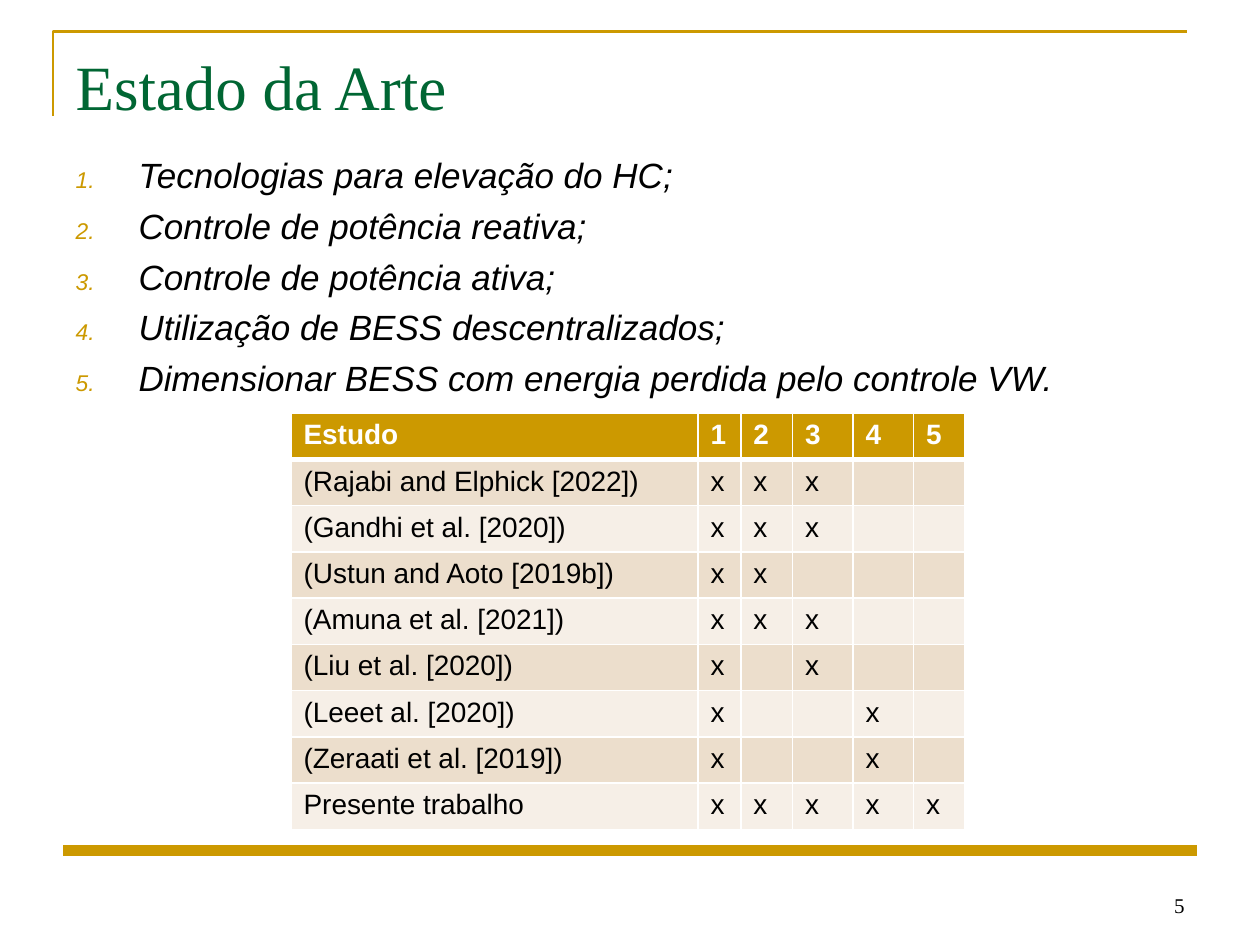
from dataclasses import dataclass

from lxml import etree
from pptx import Presentation
from pptx import util as u
from pptx.dml.color import RGBColor
from pptx.enum import shapes, text
from pptx.oxml import ns


@dataclass(frozen=True)
class Theme:
    gold: str = "CC9900"
    green: str = "006633"
    black: str = "000000"
    white: str = "FFFFFF"
    bands: tuple = ("ECDECC", "F6EFE7")
    serif: str = "Times New Roman"
    sans: str = "Arial"
    title: int = 36
    body: int = 20
    cell: int = 16
    page: int = 12


THEME = Theme()
TOPICS = [
    "Tecnologias para elevação do HC;",
    "Controle de potência reativa;",
    "Controle de potência ativa;",
    "Utilização de BESS descentralizados;",
    "Dimensionar BESS com energia perdida pelo controle VW.",
]
# Each study with the topics it covers
STUDIES = [
    ("(Rajabi and Elphick [2022])", {1, 2, 3}),
    ("(Gandhi et al. [2020])", {1, 2, 3}),
    ("(Ustun and Aoto [2019b])", {1, 2}),
    ("(Amuna et al. [2021])", {1, 2, 3}),
    ("(Liu et al. [2020])", {1, 3}),
    ("(Leeet al. [2020])", {1, 4}),
    ("(Zeraati et al. [2019])", {1, 4}),
    ("Presente trabalho", {1, 2, 3, 4, 5}),
]
WIDTHS = [3.23, 0.34, 0.41, 0.48, 0.48, 0.41]
ROW = 0.31


def rgb(code):
    return RGBColor.from_string(code)


def sub(node, tag, **attrs):
    return etree.SubElement(node, ns.qn(tag), **attrs)


def style(para, face, size, color, bold=False, italic=False):
    font = para.font
    font.name, font.size = face, u.Pt(size)
    font.bold, font.italic = bold, italic
    font.color.rgb = rgb(color)


def place(shape, box):
    shape.left, shape.top, shape.width, shape.height = map(u.Inches, box)


def stroke(shape, width):
    shape.line.color.rgb = rgb(THEME.gold)
    shape.line.width = u.Pt(width)


def add_frame(slide, box, foot):
    # Corner bracket above the title
    x, y, w, h = map(u.Inches, box)
    pen = slide.shapes.build_freeform(x, y + h)
    pen.add_line_segments([(x, y), (x + w, y)], close=False)
    edge = pen.convert_to_shape()
    edge.shadow.inherit = False
    edge.fill.background()
    stroke(edge, 1.5)

    # Bar above the footer
    x, y, w = map(u.Inches, foot)
    bar = slide.shapes.add_connector(shapes.MSO_CONNECTOR.STRAIGHT, x, y, x + w, y)
    stroke(bar, 6)
    sub(bar.element.spPr, "a:effectLst")


def add_title(slide, box):
    title = slide.shapes.title
    place(title, box)
    frame = title.text_frame
    frame.text = "Estado da Arte"
    frame.auto_size = text.MSO_AUTO_SIZE.NONE
    frame.vertical_anchor = text.MSO_ANCHOR.BOTTOM
    frame.margin_bottom = u.Inches(0.01)
    para = frame.paragraphs[0]
    para.alignment = text.PP_ALIGN.LEFT
    style(para, THEME.serif, THEME.title, THEME.green)


def add_topics(slide, box):
    body = slide.placeholders[1]
    place(body, box)
    frame = body.text_frame
    frame.text = "\n".join(TOPICS)
    frame.auto_size = text.MSO_AUTO_SIZE.NONE
    frame.margin_top = u.Inches(0.07)
    for i, para in enumerate(frame.paragraphs):
        props = para._p.get_or_add_pPr()
        props.set("marL", str(u.Inches(0.5)))
        props.set("indent", str(-u.Inches(0.5)))
        sub(sub(props, "a:buClr"), "a:srgbClr", val=THEME.gold)
        sub(props, "a:buSzPct", val="65000")
        sub(props, "a:buFont", typeface=THEME.sans)
        sub(props, "a:buAutoNum", type="arabicPeriod")
        para.alignment = text.PP_ALIGN.JUSTIFY
        para.space_before = u.Pt(5 if i else 0)
        style(para, THEME.sans, THEME.body, THEME.black, italic=True)


def add_edges(cell, top, bottom):
    props = cell._tc.get_or_add_tcPr()
    for side, width in zip("LRTB", (1, 1, top, bottom)):
        line = sub(props, f"a:ln{side}", w=str(u.Pt(width)))
        sub(sub(line, "a:solidFill"), "a:srgbClr", val=THEME.white)


def add_studies(slide, box):
    count = len(TOPICS)
    rows = [["Estudo", *map(str, range(1, count + 1))]]
    for name, hits in STUDIES:
        rows.append([name, *("x" if n in hits else "" for n in range(1, count + 1))])

    grid = slide.shapes.add_table(len(rows), count + 1, *map(u.Inches, box)).table
    for col, width in zip(grid.columns, WIDTHS):
        col.width = u.Inches(width)
    for r, row in enumerate(rows):
        head = r == 0
        grid.rows[r].height = u.Inches(ROW)
        for c, word in enumerate(row):
            cell = grid.cell(r, c)
            add_edges(cell, top=3 if r == 1 else 1, bottom=3 if head else 1)
            cell.fill.solid()
            cell.fill.fore_color.rgb = rgb(THEME.gold if head else THEME.bands[(r - 1) % 2])
            cell.text = word
            para = cell.text_frame.paragraphs[0]
            style(para, THEME.sans, THEME.cell, THEME.white if head else THEME.black, bold=head)
            if not word:
                # Keeps the empty cell as low as its row
                sub(para._p, "a:endParaRPr", sz=str(THEME.cell * 100))


def add_page(slide, box):
    frame = slide.shapes.add_textbox(*map(u.Inches, box)).text_frame
    frame.word_wrap = True
    frame.vertical_anchor = text.MSO_ANCHOR.BOTTOM
    frame.text = "5"
    para = frame.paragraphs[0]
    para.alignment = text.PP_ALIGN.RIGHT
    style(para, THEME.serif, THEME.page, THEME.black)


def main():
    deck = Presentation()
    deck.slide_width, deck.slide_height = u.Inches(10), u.Inches(7.5)
    slide = deck.slides.add_slide(deck.slide_layouts[1])
    add_frame(slide, (0.42, 0.25, 9, 0.67), (0.5, 6.75, 9))
    add_title(slide, (0.5, 0.3, 9, 0.69))
    add_topics(slide, (0.5, 1.15, 9, 5.55))
    add_page(slide, (7.17, 6.83, 2.33, 0.5))
    add_studies(slide, (2.31, 3.28, sum(WIDTHS), ROW * (len(STUDIES) + 1)))
    deck.save("out.pptx")


if __name__ == "__main__":
    main()
